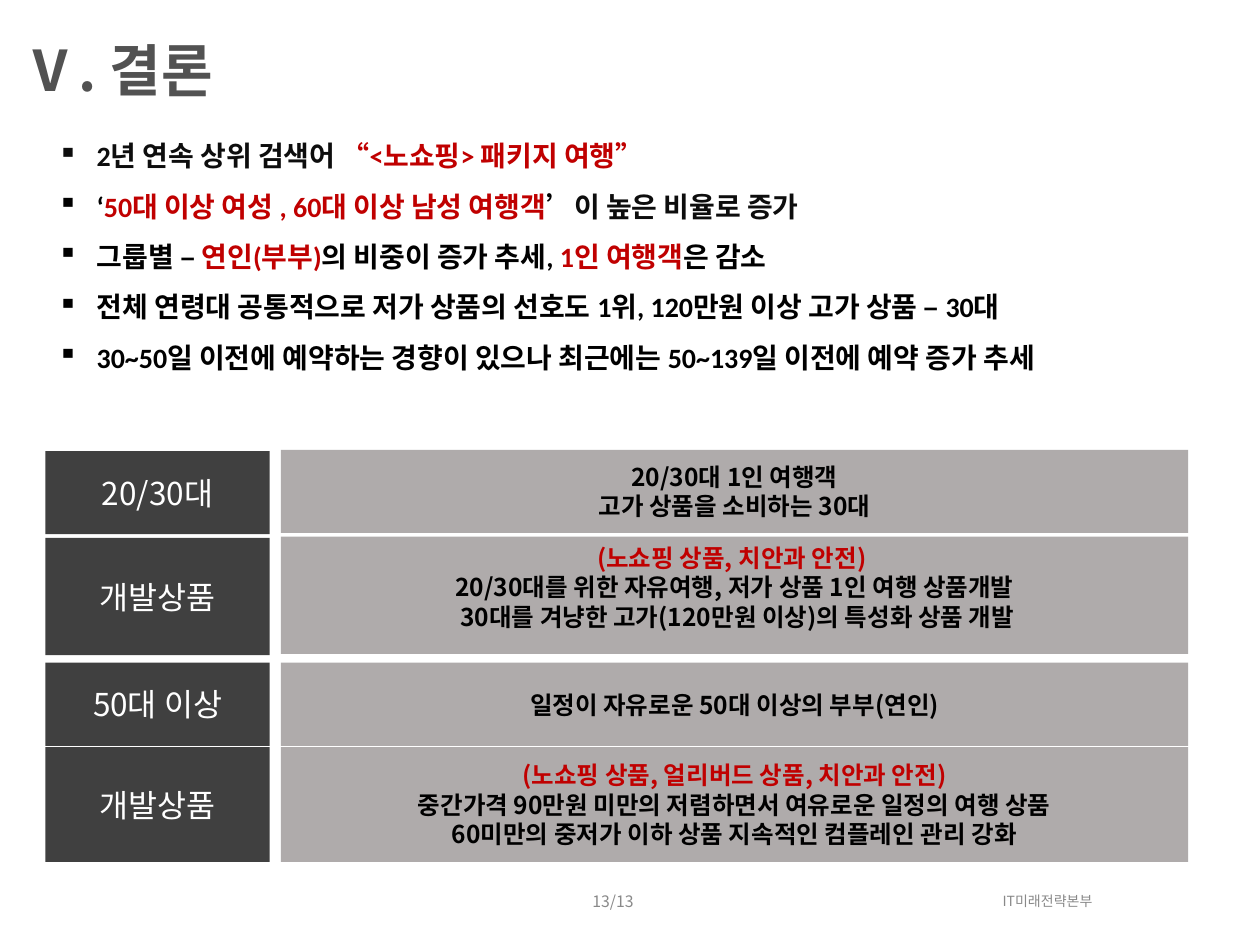
from lxml import etree
from pptx import Presentation
from pptx.dml.color import RGBColor
from pptx.enum.shapes import MSO_SHAPE
from pptx.enum.text import MSO_ANCHOR, PP_ALIGN
from pptx.oxml.ns import qn
from pptx.util import Inches, Pt

RECTANGLE = MSO_SHAPE.RECTANGLE
TOP, MIDDLE = MSO_ANCHOR.TOP, MSO_ANCHOR.MIDDLE
LEFT, CENTER = PP_ALIGN.LEFT, PP_ALIGN.CENTER
KOREAN, LATIN = "Noto Sans CJK KR", "Calibri"
COLORS = {
    "title": "525252", "ink": "0D0D0D", "black": "000000", "red": "C00000",
    "white": "FFFFFF", "label": "404040", "panel": "AFABAB", "footer": "898989",
}

# Each finding is a list of (text, color) spans.
FINDINGS = [
    [("2년 연속 상위 검색어 ", "ink"), ("“<노쇼핑> 패키지 여행”", "red")],
    [("‘", "black"), ("50대 이상 여성 , 60대 이상 남성 여행객", "red"),
     ("’", "black"), ("이 높은 비율로 증가", "ink")],
    [("그룹별 – ", "black"), ("연인(부부)", "red"), ("의 비중이 증가 추세, ", "black"),
     ("1인 여행객", "red"), ("은 감소", "black")],
    [("전체 연령대 공통적으로 저가 상품의 선호도 1위, 120만원 이상 고가 상품 – 30대", "black")],
    [("30~50일 이전에 예약하는 경향이 있으나 최근에는 50~139일 이전에 예약 증가 추세", "black")],
]

# Each row: label, label top, panel top, height, panel anchor, panel lines.
SEGMENTS = [
    ("20/30대", 3.58, 3.57, 0.66, MIDDLE,
     [("20/30대 1인 여행객", "black"), ("고가 상품을 소비하는 30대", "black")]),
    ("개발상품", 4.27, 4.26, 0.93, TOP,
     [("(노쇼핑 상품, 치안과 안전) ", "red"),
      ("20/30대를 위한 자유여행, 저가 상품 1인 여행 상품개발", "black"),
      (" 30대를 겨냥한 고가(120만원 이상)의 특성화 상품 개발", "black")]),
    ("50대 이상", 5.26, 5.26, 0.66, MIDDLE,
     [("일정이 자유로운 50대 이상의 부부(연인)", "black")]),
    ("개발상품", 5.93, 5.93, 0.91, MIDDLE,
     [("(노쇼핑 상품, 얼리버드 상품, 치안과 안전)", "red"),
      ("중간가격 90만원 미만의 저렴하면서 여유로운 일정의 여행 상품", "black"),
      ("60미만의 중저가 이하 상품 지속적인 컴플레인 관리 강화", "black")]),
]


def rgb(name):
    return RGBColor.from_string(COLORS[name])


def style_font(font, size, color, bold=False, name=KOREAN):
    font.size, font.bold, font.name = Pt(size), bold, name
    font.color.rgb = rgb(color)


def write_lines(frame, lines, size, bold=False, align=CENTER, anchor=MIDDLE):
    """Fill a text frame with one paragraph per (text, color) line."""
    frame.word_wrap = True
    frame.vertical_anchor = anchor
    for index, (text, color) in enumerate(lines):
        para = frame.add_paragraph() if index else frame.paragraphs[0]
        para.text = text
        para.alignment = align
        style_font(para.font, size, color, bold)


def add_text(page, box, text, size, color, **options):
    frame = page.shapes.add_textbox(*map(Inches, box)).text_frame
    write_lines(frame, [(text, color)], size, **options)


def add_panel(page, box, fill, lines, size, **options):
    panel = page.shapes.add_shape(RECTANGLE, *map(Inches, box))
    panel.shadow.inherit = False
    panel.fill.solid()
    panel.fill.fore_color.rgb = rgb(fill)
    panel.line.fill.background()
    write_lines(panel.text_frame, lines, size, **options)


def add_bullet(para, color):
    props = para._p.get_or_add_pPr()
    props.set("marL", str(Inches(0.31)))
    props.set("indent", str(-Inches(0.31)))
    bullet_color = etree.SubElement(props, qn("a:buClr"))
    etree.SubElement(bullet_color, qn("a:srgbClr"), val=COLORS[color])
    etree.SubElement(props, qn("a:buChar"), char="▪")


def add_findings(page, box):
    frame = page.shapes.add_textbox(*map(Inches, box)).text_frame
    frame.word_wrap = True
    for index, spans in enumerate(FINDINGS):
        para = frame.add_paragraph() if index else frame.paragraphs[0]
        first_color = spans[0][1]
        add_bullet(para, first_color)
        para.line_spacing = 1.5
        style_font(para.font, 16, first_color, bold=True, name=LATIN)
        for text, color in spans:
            span = para.add_run()
            span.text = text
            span.font.color.rgb = rgb(color)


def add_segments(page, left, label_width, panel_left, panel_width):
    for label, label_top, panel_top, height, anchor, lines in SEGMENTS:
        add_panel(page, (left, label_top, label_width, height), "label",
                  [(label, "white")], 18)
        add_panel(page, (panel_left, panel_top, panel_width, height), "panel",
                  lines, 14, bold=True, anchor=anchor)


def add_footer(page, top, height):
    add_text(page, (6.63, top, 3.37, height), "IT미래전략본부", 8, "footer")
    add_text(page, (3.74, top, 2.25, height), "13/13", 9, "footer")


def main():
    deck = Presentation()
    deck.slide_width, deck.slide_height = Inches(10), Inches(7.5)
    page = deck.slides.add_slide(deck.slide_layouts[6])
    add_footer(page, 6.95, 0.4)
    add_text(page, (0.08, 0.23, 5.61, 0.64), "Ⅴ. 결론", 32, "title",
             bold=True, align=LEFT, anchor=TOP)
    add_findings(page, (0.36, 0.92, 9.3, 2.1))
    add_segments(page, 0.36, 1.78, 2.23, 7.2)
    deck.save("out.pptx")


if __name__ == "__main__":
    main()
